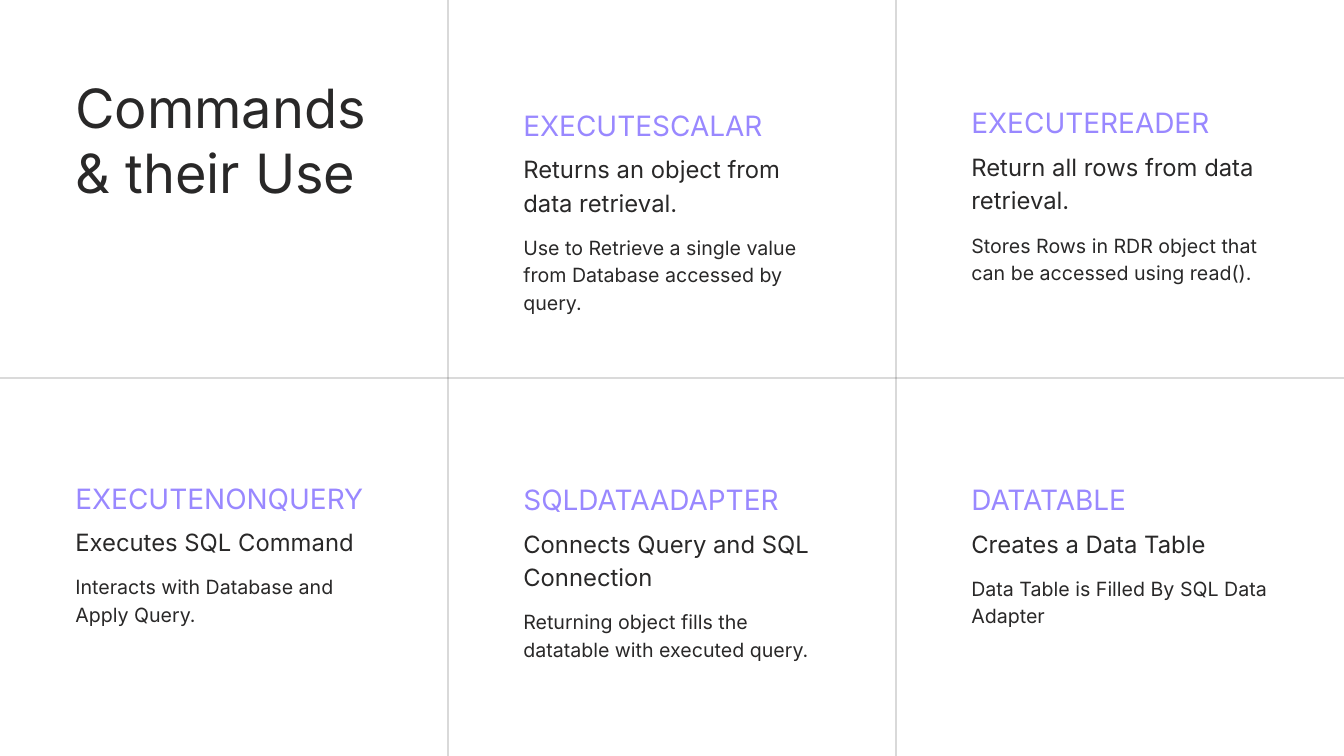
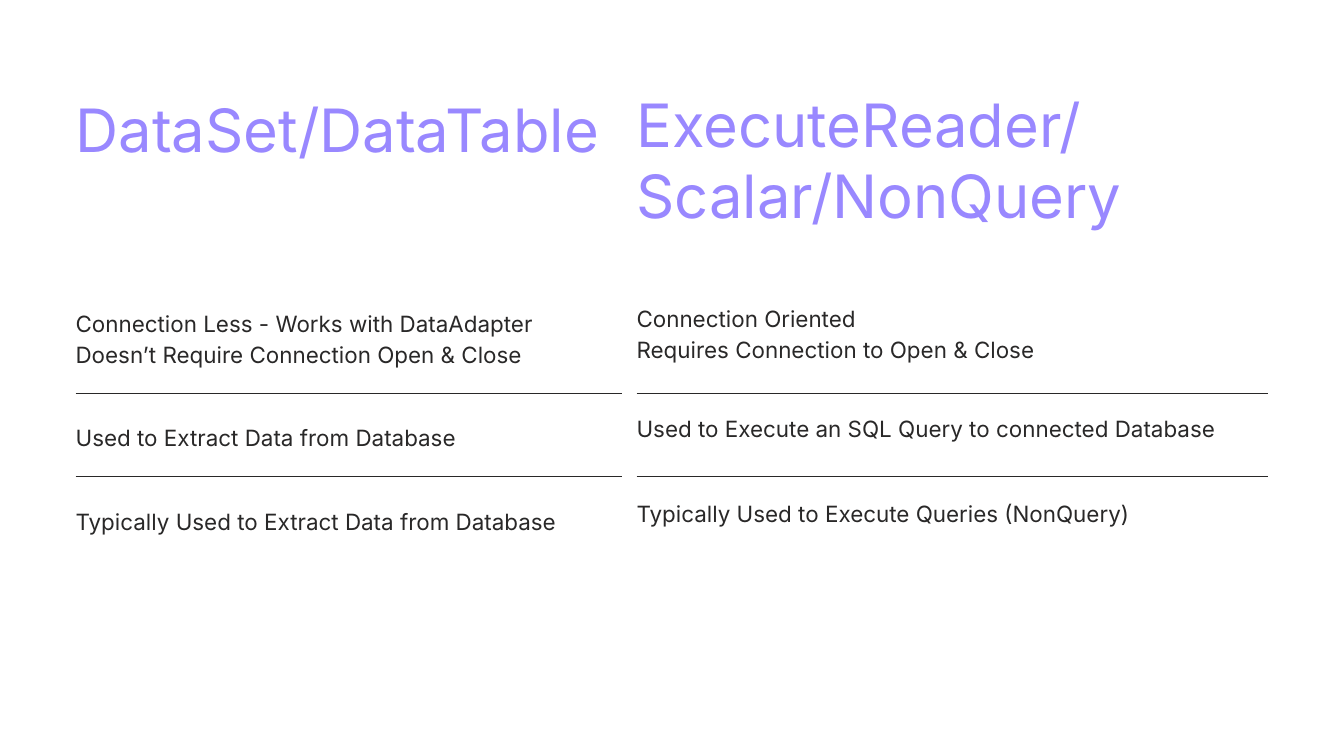
from pptx import Presentation
from pptx.dml.color import RGBColor
from pptx.enum.shapes import MSO_CONNECTOR as Conn
from pptx.enum.text import MSO_ANCHOR as Anchor, MSO_AUTO_SIZE as Fit, PP_ALIGN as Align
from pptx.oxml.ns import qn
from pptx.util import Pt
from lxml.etree import SubElement

# Shared look
FONT, INK, VIOLET = "Inter", "292828", "9988FF"
WIDE, HIGH = 1440, 810

deck = Presentation()
deck.slide_width, deck.slide_height = Pt(WIDE), Pt(HIGH)
layout = deck.slide_layouts[5]


def write(slide, text, left, top, width, height, size, color=INK, lead=1.4, title=False):
    box = slide.shapes.title if title else slide.shapes.add_textbox(0, 0, 0, 0)
    box.left, box.top, box.width, box.height = Pt(left), Pt(top), Pt(width), Pt(height)
    frame = box.text_frame
    frame.text = text
    frame.word_wrap = True
    frame.auto_size = Fit.SHAPE_TO_FIT_TEXT
    frame.vertical_anchor = Anchor.TOP
    frame.margin_left = frame.margin_top = frame.margin_right = frame.margin_bottom = 0
    for para in frame.paragraphs:
        para.alignment = Align.LEFT
        para.line_spacing = Pt(round(size * lead, 1))
        para.space_before = para.space_after = Pt(0)
        for run in para.runs:
            run.font.name, run.font.size = FONT, Pt(size)
            run.font.color.rgb = RGBColor.from_string(color)


def rule(slide, x1, y1, x2, y2, weight, alpha=100):
    line = slide.shapes.add_connector(Conn.STRAIGHT, Pt(x1), Pt(y1), Pt(x2), Pt(y2))
    line.line.width = Pt(weight)
    line.line.color.rgb = RGBColor.from_string(INK)
    props = line._element.spPr
    if alpha < 100:
        tint = next(props.iter(qn("a:srgbClr")))
        SubElement(tint, qn("a:alpha")).set("val", str(alpha * 1000))
    SubElement(props, qn("a:effectLst"))


# Slide 1: grid of commands
slide = deck.slides.add_slide(layout)
EDGE, STEP, CELL = 80.7, WIDE / 3, 317.5
write(slide, "Commands & their Use", EDGE, 80, 312.5, 139, 58, lead=1.2, title=True)

rule(slide, 0, HIGH / 2, WIDE, HIGH / 2, 0.75, 48)
for col in (1, 2):
    rule(slide, col * STEP, 0, col * STEP, HIGH, 0.75, 50)

# Column, top, name, summary, its line count, detail, its line count
cards = [
    (1, 110.2, "EXECUTESCALAR", "Returns an object from data retrieval.", 2,
     "Use to Retrieve a single value from Database accessed by query.", 3),
    (2, 107.5, "EXECUTEREADER", "Return all rows from data retrieval.", 2,
     "Stores Rows in RDR object that can be accessed using read().", 2),
    (0, 509.5, "EXECUTENONQUERY", "Executes SQL Command", 1,
     "Interacts with Database and Apply Query.", 2),
    (1, 511.2, "SQLDATAADAPTER", "Connects Query and SQL Connection", 2,
     "Returning object fills the datatable with executed query.", 2),
    (2, 511.2, "DATATABLE", "Creates a Data Table", 1,
     "Data Table is Filled By SQL Data Adapter", 2),
]
for col, top, name, brief, rows, detail, count in cards:
    left = EDGE + col * STEP
    write(slide, name, left, top, CELL, 39.6, 30, VIOLET)
    write(slide, brief, left, top + 51, CELL, rows * 35 - 1, 25.5)
    write(slide, detail, left, top + 67 + rows * 35.7, CELL, count * 29 - 1, 21)

# Slide 2: two columns compared
slide = deck.slides.add_slide(layout)
# Left, width, heading, its top and height, line weight, line tops, points with tops
sides = [
    (81, 585, "DataSet/DataTable", 99.4, 77, 1, (422, 511), [
        (327.6, "Connection Less - Works with DataAdapter\nDoesn’t Require Connection Open & Close"),
        (450, "Used to Extract Data from Database"),
        (539.3, "Typically Used to Extract Data from Database")]),
    (682, 677, "ExecuteReader/Scalar/NonQuery", 93.6, 154, 0.75, (421, 510.5), [
        (322, "Connection Oriented\nRequires Connection to Open & Close"),
        (440, "Used to Execute an SQL Query to connected Database"),
        (531.4, "Typically Used to Execute Queries (NonQuery)")]),
]
for left, width, head, top, height, weight, rules, points in sides:
    write(slide, head, left, top, width, height, 64, VIOLET, 1.2, title=left == 81)
    for y in rules:
        rule(slide, left, y, left + width, y, weight)
    for y, text in points:
        write(slide, text, left, y, width, 32 * (1 + text.count("\n")), 24)

deck.save("out.pptx")
